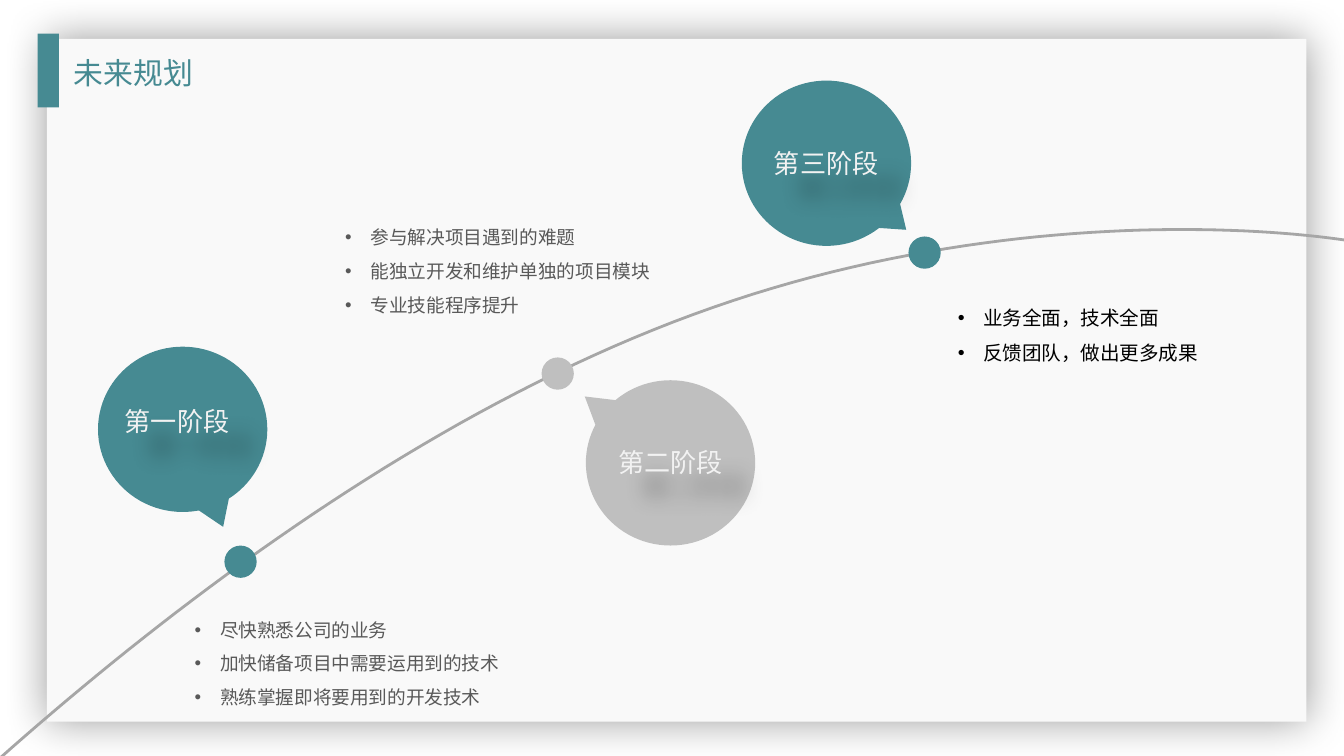
from lxml.etree import SubElement
from pptx import Presentation
from pptx.dml.color import RGBColor
from pptx.enum.shapes import MSO_SHAPE
from pptx.enum.text import MSO_ANCHOR, MSO_AUTO_SIZE, PP_ALIGN
from pptx.oxml.ns import qn
from pptx.util import Inches, Pt

TEAL = RGBColor(0x46, 0x8A, 0x92)
SILVER = RGBColor(0xBF, 0xBF, 0xBF)
CURVE_GRAY = RGBColor(0xA6, 0xA6, 0xA6)
PANEL = RGBColor(0xF9, 0xF9, 0xF9)
LABEL = RGBColor(0xF2, 0xF2, 0xF2)
BODY = RGBColor(0x59, 0x59, 0x59)
BLACK = RGBColor(0, 0, 0)
CJK_FONT = "Noto Sans CJK SC"
LABEL_FONT = "Calibri"

CURVE = [
    [(-0.01, 5.65), (1.32, 4.47), (3.17, 3.07), (5.16, 2.34)],
    [(5.16, 2.34), (7.14, 1.61), (9.09, 1.65), (10.03, 1.79)],
]
DOTS = [(1.67, 4.06, TEAL), (4.03, 2.66, SILVER), (6.76, 1.76, TEAL)]
STAGES = [
    ("第一阶段", (0.73, 2.58), (0.239, 0.59), (0.83, 2.97), TEAL),
    ("第三阶段", (5.52, 0.6), (0.471, 0.403), (5.66, 1.05), TEAL),
    ("第二阶段", (4.36, 2.83), (-0.507, -0.402), (4.5, 3.27), SILVER),
]
GOALS = [
    ((2.47, 1.55, 2.52, 1.03), 10, BODY,
     ["参与解决项目遇到的难题", "能独立开发和维护单独的项目模块", "专业技能程序提升"]),
    ((1.35, 4.47, 2.8, 0.83), 10, BODY,
     ["尽快熟悉公司的业务", "加快储备项目中需要运用到的技术", "熟练掌握即将要用到的开发技术"]),
    ((7.03, 2.14, 2.06, 0.6), 10.5, BLACK,
     ["业务全面，技术全面", "反馈团队，做出更多成果"]),
]


def bezier_point(controls, t):
    weights = ((1 - t) ** 3, 3 * t * (1 - t) ** 2, 3 * t * t * (1 - t), t ** 3)
    return tuple(
        Inches(sum(w * point[axis] for w, point in zip(weights, controls)))
        for axis in (0, 1)
    )


class RoadmapSlide:
    def __init__(self, slide):
        self.slide = slide
        self.shapes = slide.shapes

    def shape(self, kind, box, color, parent=None):
        owner = self.shapes if parent is None else parent
        figure = owner.add_shape(kind, *map(Inches, box))
        figure.shadow.inherit = False
        figure.fill.solid()
        figure.fill.fore_color.rgb = color
        figure.line.fill.background()
        return figure

    def cast_shadow(self, figure, blur, distance, opacity):
        figure.shadow.inherit = False
        effects = figure._element.spPr.find(qn("a:effectLst"))
        shadow = SubElement(effects, qn("a:outerShdw"), blurRad=str(Pt(blur)),
                            dist=str(Pt(distance)), dir="2700000",
                            algn="ctr", rotWithShape="0")
        color = SubElement(shadow, qn("a:srgbClr"), val="000000")
        SubElement(color, qn("a:alpha"), val=str(opacity * 1000))

    def style(self, paragraph, font_name, size, color):
        for run in paragraph.runs:
            run.font.name = font_name
            run.font.size = Pt(size)
            run.font.color.rgb = color

    def title(self, text, box):
        heading = self.shapes.title
        heading.left, heading.top, heading.width, heading.height = map(Inches, box)
        frame = heading.text_frame
        frame.text = text
        frame.auto_size = MSO_AUTO_SIZE.NONE
        frame.vertical_anchor = MSO_ANCHOR.TOP
        frame.margin_left = frame.margin_right = Inches(0.08)
        frame.margin_top = frame.margin_bottom = Inches(0.04)
        frame.paragraphs[0].alignment = PP_ALIGN.JUSTIFY
        self.style(frame.paragraphs[0], CJK_FONT, 16, TEAL)
        self.shapes._spTree.append(heading._element)

    def curve(self, segments, steps=40):
        points = [bezier_point(controls, step / steps)
                  for controls in segments for step in range(1, steps + 1)]
        builder = self.shapes.build_freeform(*bezier_point(segments[0], 0))
        builder.add_line_segments(points, close=False)
        path = builder.convert_to_shape()
        path.shadow.inherit = False
        path.fill.background()
        path.line.color.rgb = CURVE_GRAY
        path.line.width = Pt(1.5)

    def stage(self, name, corner, tail, label_corner, color):
        group = self.shapes.add_group_shape()
        balloon = self.shape(MSO_SHAPE.OVAL_CALLOUT, (*corner, 1.26, 1.23),
                             color, group.shapes)
        balloon.adjustments[0], balloon.adjustments[1] = tail
        label = group.shapes.add_textbox(
            *map(Inches, (*label_corner, 1.08, 0.34)))
        label.text_frame.word_wrap = True
        label.text_frame.text = name
        self.style(label.text_frame.paragraphs[0], LABEL_FONT, 14, LABEL)
        self.cast_shadow(label, 12, 18, 40)

    def goals(self, box, size, color, items):
        frame = self.shapes.add_textbox(*map(Inches, box)).text_frame
        frame.word_wrap = True
        for index, item in enumerate(items):
            paragraph = frame.add_paragraph() if index else frame.paragraphs[0]
            paragraph.text = item
            paragraph.line_spacing = 1.5
            properties = paragraph._p.get_or_add_pPr()
            properties.set("marL", str(Inches(0.19)))
            properties.set("indent", str(-Inches(0.19)))
            SubElement(properties, qn("a:buFont"), typeface="Arial")
            SubElement(properties, qn("a:buChar"), char="•")
            self.style(paragraph, CJK_FONT, size, color)


def main():
    deck = Presentation()
    deck.slide_width, deck.slide_height = Inches(10), Inches(5.625)
    roadmap = RoadmapSlide(deck.slides.add_slide(deck.slide_layouts[5]))
    panel = roadmap.shape(MSO_SHAPE.RECTANGLE, (0.35, 0.29, 9.37, 5.08), PANEL)
    roadmap.cast_shadow(panel, 23, 0, 40)
    roadmap.shape(MSO_SHAPE.RECTANGLE, (0.28, 0.25, 0.16, 0.55), TEAL)
    roadmap.curve(CURVE)
    for left, top, color in DOTS:
        roadmap.shape(MSO_SHAPE.OVAL, (left, top, 0.24, 0.24), color)
    for stage in STAGES[:2]:
        roadmap.stage(*stage)
    for goal in GOALS:
        roadmap.goals(*goal)
    roadmap.title("未来规划", (0.47, 0.37, 2.01, 0.35))
    roadmap.stage(*STAGES[2])
    deck.save("out.pptx")


if __name__ == "__main__":
    main()
